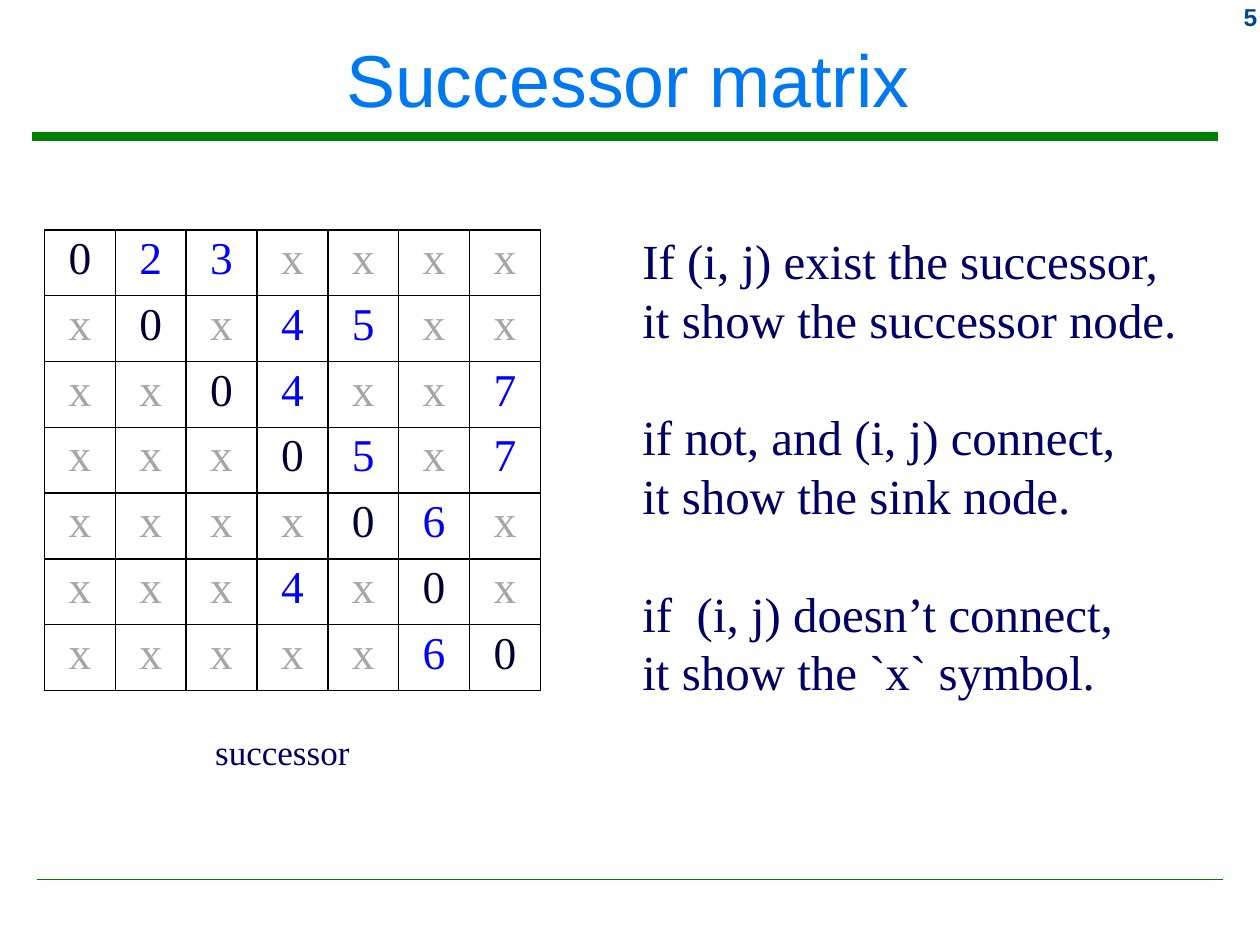
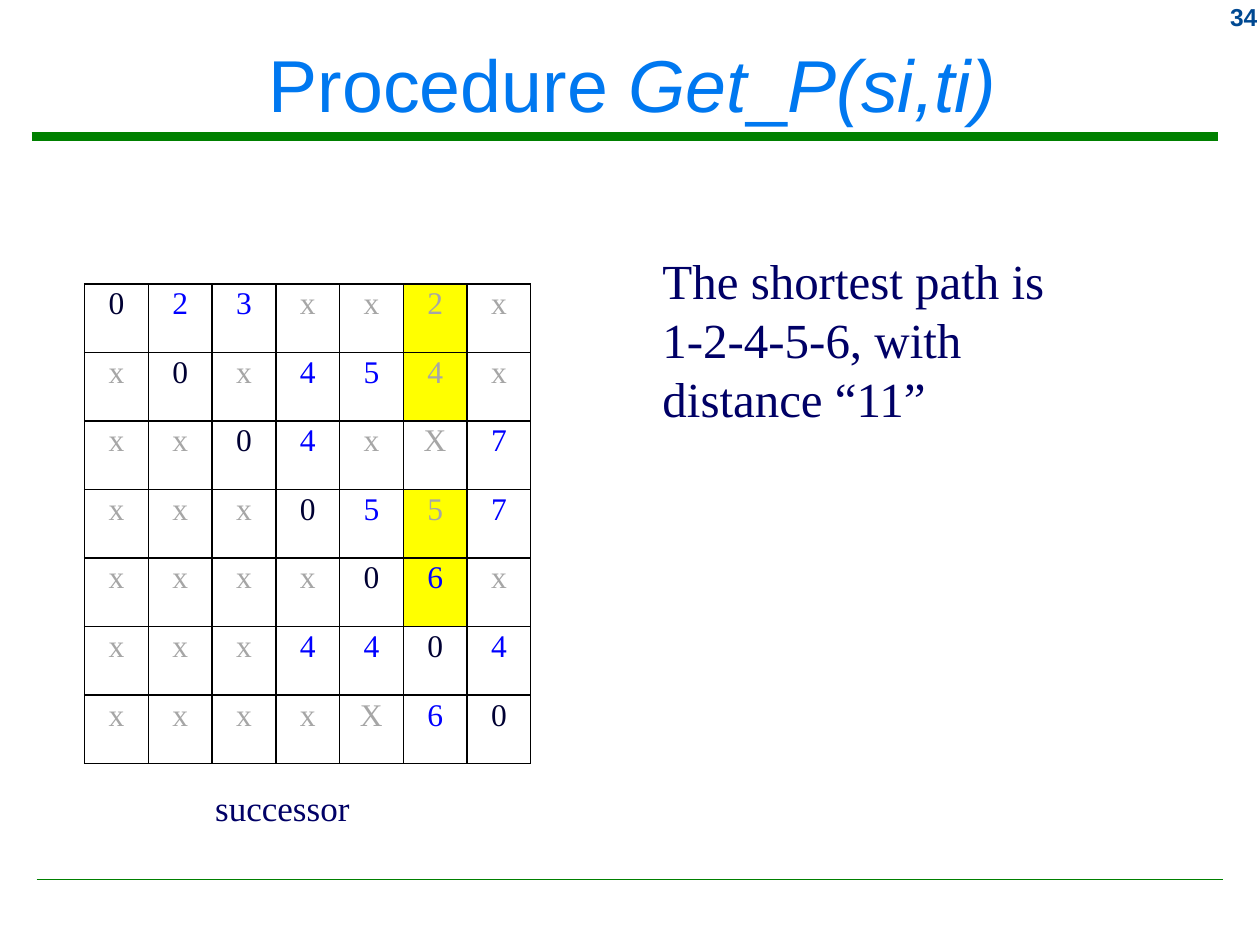
from lxml import etree
from pptx import Presentation
from pptx.dml.color import RGBColor
from pptx.enum.shapes import MSO_CONNECTOR
from pptx.enum.text import MSO_ANCHOR, PP_ALIGN
from pptx.oxml import parse_xml
from pptx.oxml.ns import nsdecls, qn
from pptx.util import Pt

LEFT, CENTER, RIGHT = PP_ALIGN.LEFT, PP_ALIGN.CENTER, PP_ALIGN.RIGHT
TOP, MIDDLE = MSO_ANCHOR.TOP, MSO_ANCHOR.MIDDLE
STRAIGHT = MSO_CONNECTOR.STRAIGHT

TITLE_BLUE = RGBColor(0x00, 0x78, 0xF0)
NUMBER_BLUE = RGBColor(0x00, 0x49, 0x92)
TEXT_NAVY = RGBColor(0x00, 0x00, 0x66)
ZERO_NAVY = RGBColor(0x00, 0x00, 0x33)
NODE_BLUE = RGBColor(0x00, 0x00, 0xFF)
EMPTY_GREY = RGBColor(0xA6, 0xA6, 0xA6)
RULE_GREEN = RGBColor(0x00, 0x80, 0x00)
PATH_YELLOW = RGBColor(0xFF, 0xFF, 0x00)
WHITE = RGBColor(0xFF, 0xFF, 0xFF)

SANS, SERIF = "Arial", "Times New Roman"
BODY_SIZE, BODY_PITCH = 28, 33.6
RULES = [(18, 696.2, 77.8, 5.25), (20.9, 699.1, 502.6, 1)]

SLIDES = [
    {
        "number": "5",
        "title": [("Successor matrix", False)],
        "title_at": (6, 6.5),
        "matrix": ["023xxxx", "x0x45xx", "xx04xx7", "xxx05x7",
                   "xxxx06x", "xxx4x0x", "xxxxx60"],
        "matrix_at": (25.4, 131.3),
        "cell_size": (40.5, 37.63),
        "cell_margins": (5, 2.4),
        "font_size": 26,
        "path_cells": [],
        "updated_cells": [],
        "caption_top": 414,
        "body_at": (360, 128.2, 323.3, 278.6),
        "body": [["If (i, j) exist the successor,", "it show the successor node."],
                 ["if not, and (i, j) connect,", "it show the sink node."],
                 ["if  (i, j) doesn’t connect,", "it show the `x` symbol."]],
        "body_wrap": False,
    },
    {
        "number": "34",
        "title": [("Procedure ", False), ("Get", True), ("_", False), ("P(si,ti)", True)],
        "title_at": (8.6, 9.4),
        "matrix": ["023xx2x", "x0x454x", "xx04xX7", "xxx0557",
                   "xxxx06x", "xxx4404", "xxxxX60"],
        "matrix_at": (48.3, 162.2),
        "cell_size": (36.43, 39.2),
        "cell_margins": (3.6, 1.6),
        "font_size": 18,
        "path_cells": [(0, 5), (1, 5), (3, 5), (4, 5)],
        "updated_cells": [(0, 5), (1, 5), (3, 5)],
        "caption_top": 445.7,
        "body_at": (371.5, 139.7, 254.9, 108.7),
        "body": [["The shortest path is 1-2-4-5-6, with distance “11”"]],
        "body_wrap": True,
    },
]


def write(frame, groups, size, color, font=SERIF, align=LEFT, bold=False,
          anchor=TOP, wrap=True, margins=(7.2, 3.6), pitch=None):
    frame.word_wrap = wrap
    frame.vertical_anchor = anchor
    frame.margin_left = frame.margin_right = Pt(margins[0])
    frame.margin_top = frame.margin_bottom = Pt(margins[1])
    paragraph = None
    for group_index, group in enumerate(groups):
        for line_index, line in enumerate(group):
            paragraph = frame.add_paragraph() if paragraph else frame.paragraphs[0]
            paragraph.alignment = align
            if pitch:
                paragraph.line_spacing = Pt(pitch)
            if group_index and line_index == 0:
                paragraph.space_before = Pt(pitch)
            pieces = [(line, False)] if isinstance(line, str) else line
            for text, italic in pieces:
                run = paragraph.add_run()
                run.text = text
                run.font.name = font
                run.font.size = Pt(size)
                run.font.bold = bold
                run.font.italic = italic
                run.font.color.rgb = color


def add_matrix(slide, content):
    rows = content["matrix"]
    count = len(rows)
    left, top = content["matrix_at"]
    width, height = content["cell_size"]
    table = slide.shapes.add_table(count, count, Pt(left), Pt(top),
                                   Pt(width * count), Pt(height * count)).table
    table.first_row = table.horz_banding = False
    for index in range(count):
        table.columns[index].width = Pt(width)
        table.rows[index].height = Pt(height)
    for row, symbols in enumerate(rows):
        for column, symbol in enumerate(symbols):
            cell = table.cell(row, column)
            position = (row, column)
            if symbol in "xX" or position in content["updated_cells"]:
                color = EMPTY_GREY
            else:
                color = ZERO_NAVY if symbol == "0" else NODE_BLUE
            write(cell.text_frame, [[symbol]], content["font_size"], color, align=CENTER)
            cell.margin_left = cell.margin_right = Pt(content["cell_margins"][0])
            cell.margin_top = cell.margin_bottom = Pt(content["cell_margins"][1])
            cell.vertical_anchor = TOP
            properties = cell._tc.get_or_add_tcPr()
            for side in ("lnL", "lnR", "lnT", "lnB"):
                properties.append(parse_xml(
                    f'<a:{side} {nsdecls("a")} w="12700"><a:solidFill>'
                    f'<a:srgbClr val="000000"/></a:solidFill></a:{side}>'))
            cell.fill.solid()
            cell.fill.fore_color.rgb = PATH_YELLOW if position in content["path_cells"] else WHITE


presentation = Presentation()
presentation.slide_width = Pt(720)
presentation.slide_height = Pt(540)
title_only = presentation.slide_layouts[5]

for content in SLIDES:
    slide = presentation.slides.add_slide(title_only)

    for start, end, height, weight in RULES:
        rule = slide.shapes.add_connector(STRAIGHT, Pt(start), Pt(height), Pt(end), Pt(height))
        rule.line.color.rgb = RULE_GREEN
        rule.line.width = Pt(weight)
        etree.SubElement(rule._element.spPr, qn("a:effectLst"))

    number = slide.shapes.add_textbox(Pt(660), Pt(1), Pt(58.5), Pt(18))
    write(number.text_frame, [[content["number"]]], 14, NUMBER_BLUE, font=SANS,
          align=RIGHT, bold=True, margins=(0, 0))

    title = slide.shapes.title
    title.left, title.top = [Pt(value) for value in content["title_at"]]
    title.width, title.height = Pt(705.6), Pt(76.3)
    write(title.text_frame, [[content["title"]]], 42, TITLE_BLUE, font=SANS,
          align=CENTER, anchor=MIDDLE)

    add_matrix(slide, content)

    caption = slide.shapes.add_textbox(Pt(115.9), Pt(content["caption_top"]), Pt(92.2), Pt(31.7))
    write(caption.text_frame, [["successor"]], 20, TEXT_NAVY, wrap=False)

    body = slide.shapes.add_textbox(*[Pt(value) for value in content["body_at"]])
    write(body.text_frame, content["body"], BODY_SIZE, TEXT_NAVY,
          wrap=content["body_wrap"], pitch=BODY_PITCH)

presentation.save("out.pptx")
